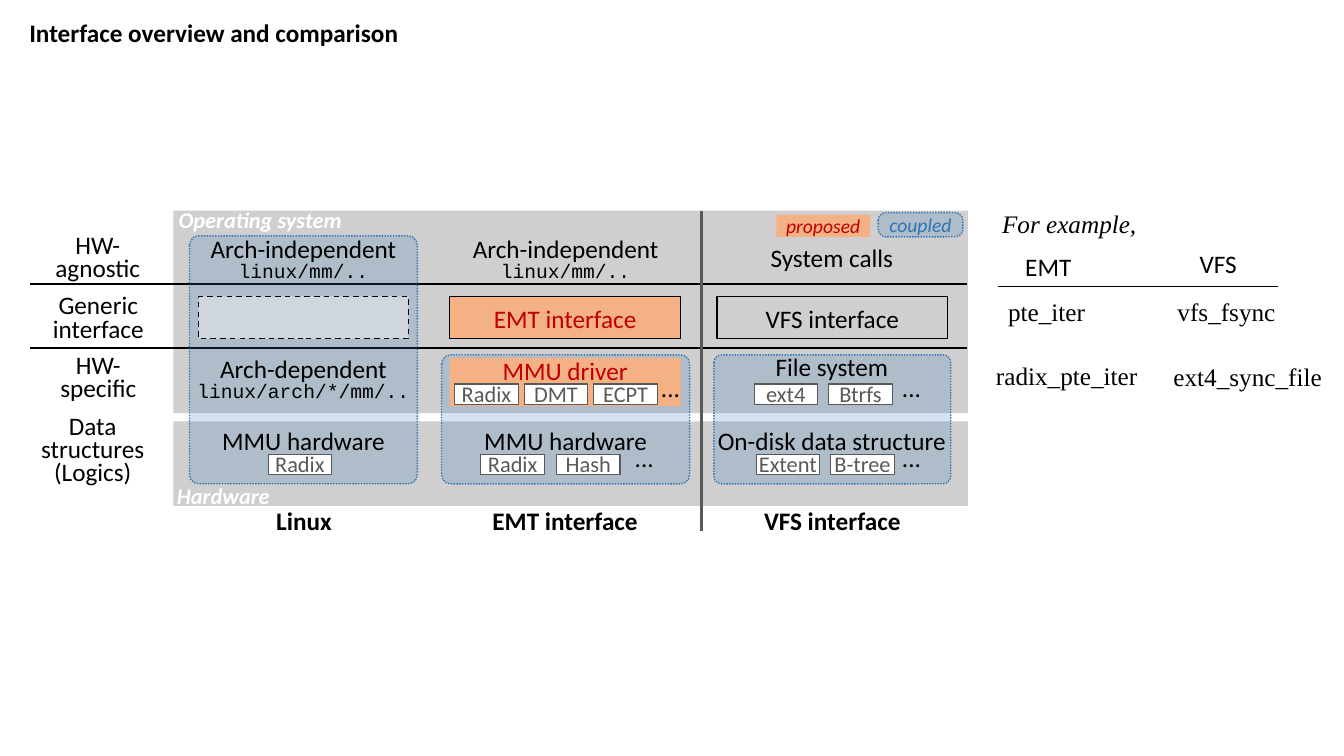
import lxml.etree
import pptx
import pptx.util
import pptx.dml.color
import pptx.enum.dml
import pptx.enum.shapes
import pptx.enum.text
import pptx.oxml.ns

PX = 9144  # 100 px to the inch
COUPLED_BLUE = "2E75B6"
PROPOSED_ORANGE = "F4B183"
PROPOSED_RED = "C00000"
GREY = "595959"
DASH = pptx.enum.dml.MSO_LINE
SHAPE = pptx.enum.shapes.MSO_SHAPE
ALIGN = pptx.enum.text.PP_ALIGN
ANCHOR = pptx.enum.text.MSO_ANCHOR
color = pptx.dml.color.RGBColor.from_string
qn = pptx.oxml.ns.qn


def add_box(at, fill=None, line=None, width=1, dash=None, alpha=None, corner=None):
    """Draw a rectangle; a corner ratio makes it rounded, alpha is opacity in percent."""
    kind = SHAPE.RECTANGLE if corner is None else SHAPE.ROUNDED_RECTANGLE
    shape = slide.shapes.add_shape(kind, *(value * PX for value in at))
    shape.shadow.inherit = False
    if corner is not None:
        shape.adjustments[0] = corner
    if fill:
        shape.fill.solid()
        shape.fill.fore_color.rgb = color(fill)
    else:
        shape.fill.background()
    if alpha is not None:
        fill_color = shape._element.spPr.find(qn("a:solidFill")).find(qn("a:srgbClr"))
        lxml.etree.SubElement(fill_color, qn("a:alpha")).set("val", str(alpha * 1000))
    if line:
        shape.line.color.rgb = color(line)
        shape.line.width = pptx.util.Pt(width)
        if dash:
            shape.line.dash_style = dash
    else:
        shape.line.fill.background()
    return shape


def write(shape, text, size=18, ink="000000", font="Calibri", bold=False, italic=False,
          insets=(0, 8, 0, 0), spacing=0.75, align=ALIGN.CENTER, anchor=ANCHOR.MIDDLE, wrap=False):
    """Fill a shape with text; a line that is a source path is set in monospace."""
    frame = shape.text_frame
    frame.text = text
    frame.word_wrap = wrap
    frame.auto_size = pptx.enum.text.MSO_AUTO_SIZE.NONE
    frame.vertical_anchor = anchor
    frame.margin_left, frame.margin_top, frame.margin_right, frame.margin_bottom = (
        value * PX for value in insets)
    for paragraph in frame.paragraphs:
        is_path = paragraph.text.startswith("linux/")
        paragraph.alignment = align
        paragraph.line_spacing = spacing
        for run in paragraph.runs:
            run.font.name = "Courier New" if is_path else font
            run.font.size = pptx.util.Pt(14 if is_path else size)
            run.font.bold = bold
            run.font.italic = italic
            run.font.color.rgb = color(ink)


presentation = pptx.Presentation()
presentation.slide_width = 1333 * PX
presentation.slide_height = 750 * PX
slide = presentation.slides.add_slide(presentation.slide_layouts[5])

# Title
title = slide.shapes.title
title.left, title.top, title.width, title.height = (value * PX for value in (19, 12, 389, 40))
write(title, "Interface overview and comparison", bold=True, insets=(10, 5, 10, 5),
      spacing=1.0, align=ALIGN.LEFT, anchor=ANCHOR.TOP)

# Example function names on the right
for at, text, font in [
    ((984, 202, 155, 40), "For example,", "Times New Roman"),
    ((1007, 244, 66, 40), "EMT", "Calibri"),
    ((1180, 241, 57, 40), "VFS", "Calibri"),
    ((990, 289, 97, 40), "pte_iter", "Times New Roman"),
    ((1158, 289, 118, 40), "vfs_fsync", "Times New Roman"),
    ((978, 353, 162, 40), "radix_pte_iter", "Times New Roman"),
    ((1154, 354, 169, 40), "ext4_sync_file", "Times New Roman"),
]:
    example = slide.shapes.add_textbox(*(value * PX for value in at))
    write(example, text, font=font, italic=text == "For example,", insets=(10, 5, 10, 5),
          spacing=1.0, align=ALIGN.LEFT, anchor=ANCHOR.TOP)

# Operating system and hardware bands
for top, height in [(209, 201), (418, 84)]:
    add_box((172, top, 788, height), fill="D0CECE")
for at, text in [((176, 211, 164, 19), "Operating system"), ((175, 488, 93, 13), "Hardware")]:
    band_name = slide.shapes.add_textbox(*(value * PX for value in at))
    write(band_name, text, size=16, ink="FFFFFF", bold=True, italic=True, insets=(0, 0, 0, 0))

# Layer names
for at, text, spacing in [
    ((35, 237, 124, 37), "HW-agnostic", 0.75),
    ((42, 284, 111, 62), "Generic\ninterface", 0.8),
    ((39, 356, 117, 37), "HW-specific", 0.75),
    ((19, 417, 146, 59), "Data structures\n(Logics)", 0.75),
]:
    layer = slide.shapes.add_textbox(*(value * PX for value in at))
    write(layer, text, insets=(10, 8, 10, 5), spacing=spacing, wrap=True)

# Rules between layers, under the example heads and before the VFS column
for left, top, right, bottom, ink, width in [
    (30, 282, 959, 282, "000000", 1.5),
    (30, 345, 959, 345, "000000", 1.5),
    (990, 284, 1268, 284, "000000", 0.5),
    (696, 209, 696, 527, GREY, 2),
]:
    rule = slide.shapes.add_connector(pptx.enum.shapes.MSO_CONNECTOR.STRAIGHT,
                                      left * PX, top * PX, right * PX, bottom * PX)
    rule.line.color.rgb = color(ink)
    rule.line.width = pptx.util.Pt(width)
    lxml.etree.SubElement(rule._element.spPr, qn("a:effectLst"))

# Coupled regions and legend
for at, corner, text in [
    ((188, 234, 226, 246), 0.04, ""),
    ((438, 352, 246, 128), 0.07, ""),
    ((708, 352, 235, 128), 0.06, ""),
    ((871, 211, 84, 24), 0.31, "coupled"),
]:
    region = add_box(at, fill=COUPLED_BLUE, alpha=20, line=COUPLED_BLUE,
                     dash=DASH.ROUND_DOT, corner=corner)
    if text:
        write(region, text, size=14, ink=COUPLED_BLUE, italic=True, insets=(0, 0, 0, 0), spacing=1.0)
proposed = add_box((770, 213, 93, 22), fill=PROPOSED_ORANGE)
write(proposed, "proposed", size=14, ink=PROPOSED_RED, italic=True, insets=(0, 4, 0, 0))

# Generic interfaces and the MMU driver
add_box((197, 294, 208, 42), fill="FFFFFF", alpha=40, line="000000", dash=DASH.DASH)
emt_interface = add_box((446, 294, 229, 42), fill=PROPOSED_ORANGE, line="000000")
write(emt_interface, "EMT interface", ink=PROPOSED_RED)
vfs_interface = add_box((711, 294, 229, 42), line="000000")
write(vfs_interface, "VFS interface")
mmu_driver = add_box((446, 355, 229, 48), fill=PROPOSED_ORANGE)
write(mmu_driver, "MMU driver", ink=PROPOSED_RED, insets=(0, 4, 0, 0), anchor=ANCHOR.TOP)

# Component labels, by column left and row top
LINUX, EMT, VFS = 175, 435, 699
for left, top, text in [
    (LINUX, 234, "Arch-independent\nlinux/mm/.."),
    (EMT, 234, "Arch-independent\nlinux/mm/.."),
    (VFS, 234, "System calls"),
    (LINUX, 353, "Arch-dependent\nlinux/arch/*/mm/.."),
    (VFS, 342, "File system"),
    (LINUX, 415, "MMU hardware"),
    (EMT, 415, "MMU hardware"),
    (VFS, 415, "On-disk data structure"),
]:
    component = slide.shapes.add_textbox(left * PX, top * PX, 252 * PX, 42 * PX)
    write(component, text, spacing=0.8 if "\n" in text else 0.75)

# Implementations: first left, step, top, names, left of the ellipsis
for left, step, top, names, more in [
    (451, 69, 381, ["Radix", "DMT", "ECPT"], 648),
    (748, 74, 381, ["ext4", "Btrfs"], 887),
    (266, 0, 451, ["Radix"], None),
    (477, 75, 451, ["Radix", "Hash"], 622),
    (750, 74, 451, ["Extent", "B-tree"], 887),
]:
    for index, name in enumerate(names):
        implementation = add_box((left + index * step, top, 63, 20), fill="FFFFFF",
                                 line=GREY, width=0.75)
        write(implementation, name, size=16, ink=GREY, insets=(0, 4, 0, 0))
    if more:
        ellipsis = slide.shapes.add_textbox(more * PX, (top - 10) * PX, 34 * PX, 25 * PX)
        write(ellipsis, "...")

# Column names
for left, width, name in [(274, 55, "Linux"), (488, 145, "EMT interface"), (757, 137, "VFS interface")]:
    column = slide.shapes.add_textbox(left * PX, 508 * PX, width * PX, 24 * PX)
    write(column, name, bold=True, insets=(0, 0, 0, 0))

presentation.save("out.pptx")
